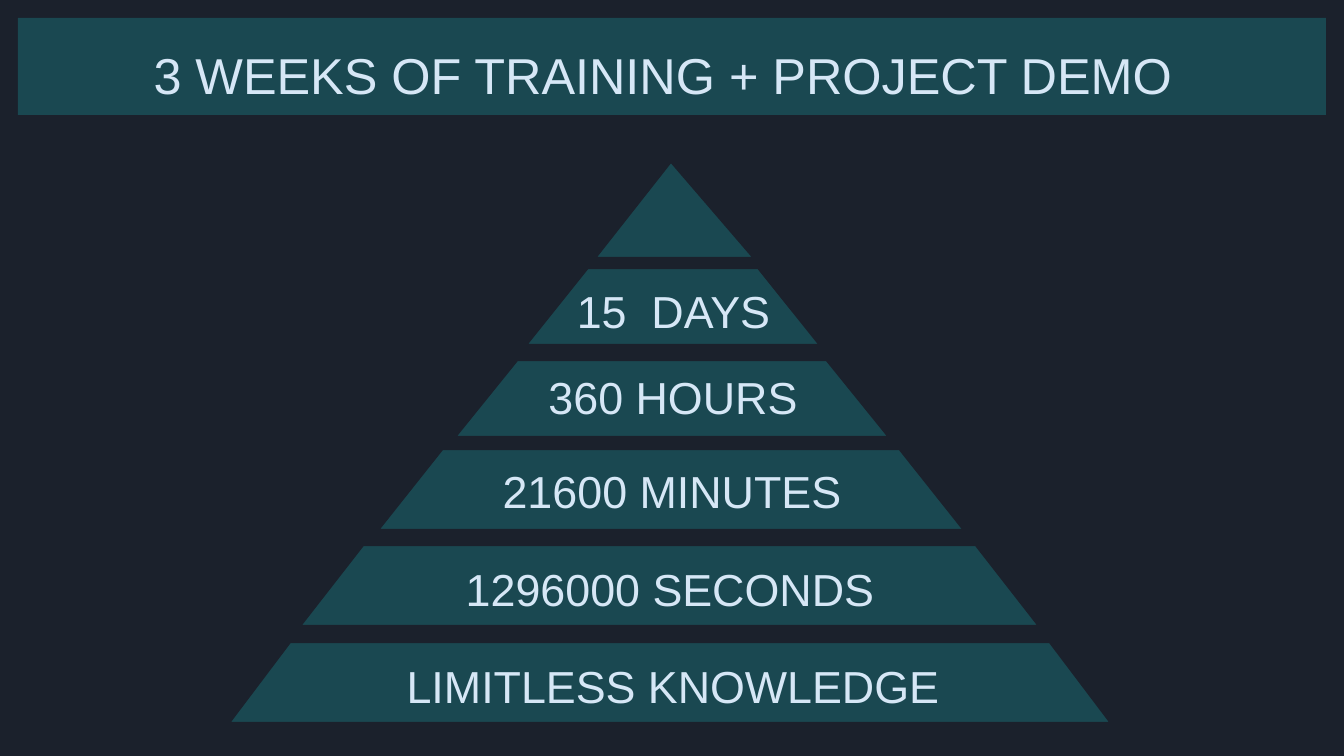
from pptx import Presentation
from pptx import util as u
from pptx.dml.color import RGBColor
from pptx.enum import shapes, text

PX = 9144000 / 1344
BACK, TEAL, PALE = "1B212C", "1A4851", "D6E7F6"


def px(*sizes):
    """Turn pixel lengths into EMU."""
    return [u.Emu(round(s * PX)) for s in sizes]


def paint(fill, color):
    fill.solid()
    fill.fore_color.rgb = RGBColor.from_string(color)


deck = Presentation()
deck.slide_width, deck.slide_height = px(1344, 756)
slide = deck.slides.add_slide(deck.slide_layouts[0])
paint(slide.background.fill, BACK)
sub = slide.placeholders[1]
sub.element.getparent().remove(sub.element)

# Title bar, placed behind the title
bar = slide.shapes.add_shape(shapes.MSO_SHAPE.RECTANGLE, *px(18, 18, 1308, 97))
bar.shadow.inherit = False
paint(bar.fill, TEAL)
bar.line.fill.background()
title = slide.shapes.title
title.element.addprevious(bar.element)
title.left, title.top, title.width, title.height = px(96, 37, 1134, 68)

# Pyramid tiers from the tip down: left, top, width, height, slant
tiers = [
    (593, 160, 163, 99, 0.478),
    (524, 267, 298, 79, 0.801),
    (453, 359, 438, 79, 0.808),
    (376, 448, 590, 83, 0.794),
    (298, 544, 743, 83, 0.779),
    (227, 641, 886, 83, 0.755),
]
for row, (*box, slant) in enumerate(tiers):
    kind = shapes.MSO_SHAPE.TRAPEZOID if row else shapes.MSO_SHAPE.ISOSCELES_TRIANGLE
    tier = slide.shapes.add_shape(kind, *px(*box))
    tier.adjustments[0] = slant
    tier.shadow.inherit = False
    paint(tier.fill, TEAL)
    paint(tier.line.fill, BACK)
    tier.line.width = u.Pt(2.25)

# Labels: wording, box, line spacing
labels = [
    ("15  DAYS", (552, 280, 243, 62), 1.0),
    ("360 HOURS", (524, 366, 298, 62), 1.0),
    ("21600 MINUTES", (453, 460, 438, 62), 1.0),
    ("1296000 SECONDS", (375, 551, 590, 69), 1.1),
    ("LIMITLESS KNOWLEDGE", (180, 613, 986, 140), 1.1),
]
lines = [(title, "3 WEEKS OF TRAINING + PROJECT DEMO", 27, 1.1)]
for words, box, gap in labels:
    lines.append((slide.shapes.add_textbox(*px(*box)), words, 24, gap))

for shape, words, size, gap in lines:
    frame = shape.text_frame
    frame.text = words
    frame.word_wrap = True
    frame.auto_size = text.MSO_AUTO_SIZE.NONE
    frame.vertical_anchor = text.MSO_ANCHOR.MIDDLE
    frame.margin_left = frame.margin_right = 0
    frame.margin_top = frame.margin_bottom = 0
    para = frame.paragraphs[0]
    para.alignment = text.PP_ALIGN.CENTER
    para.line_spacing = gap
    para.font.name = "Arial"
    para.font.size = u.Pt(size)
    para.font.color.rgb = RGBColor.from_string(PALE)

deck.save("out.pptx")
